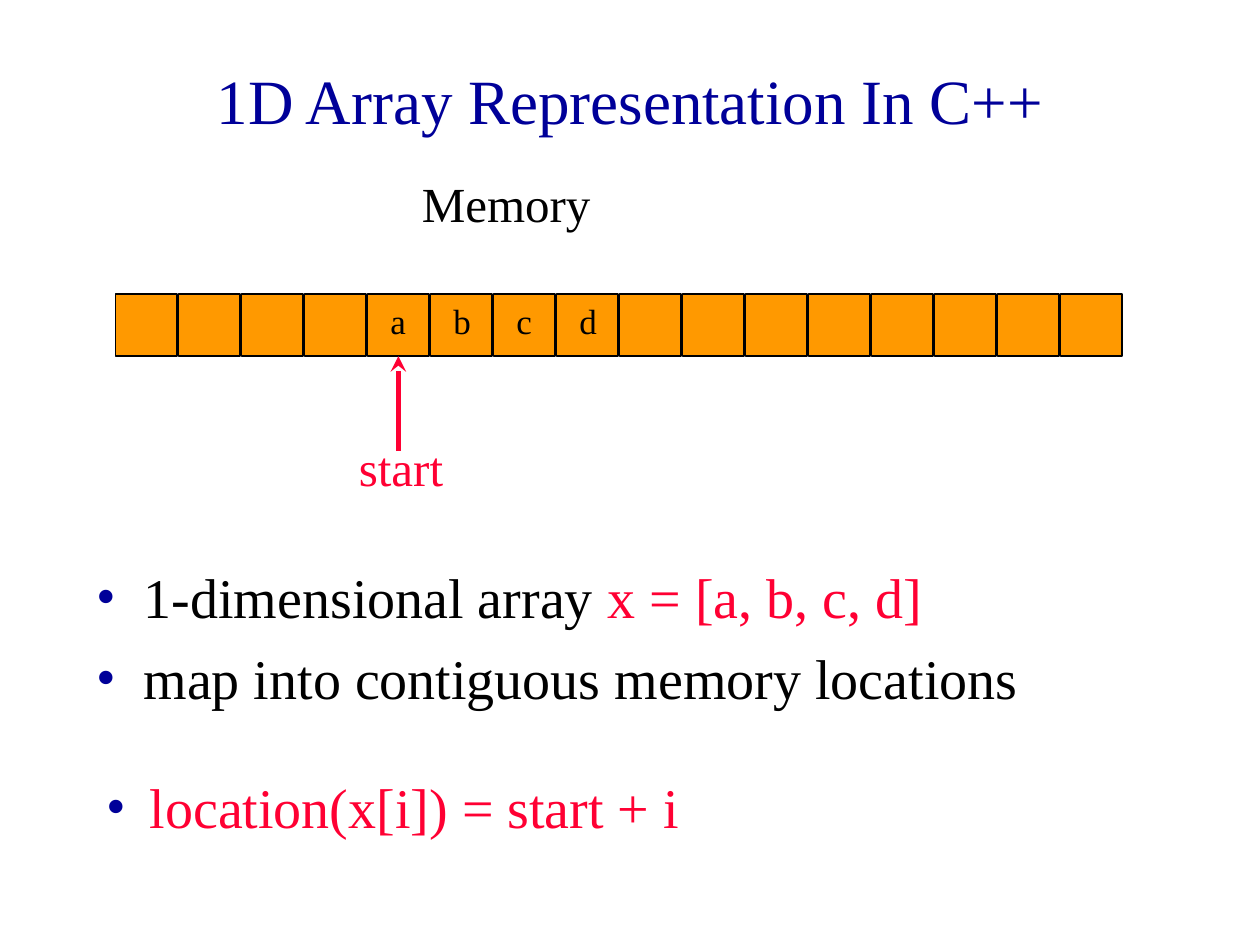
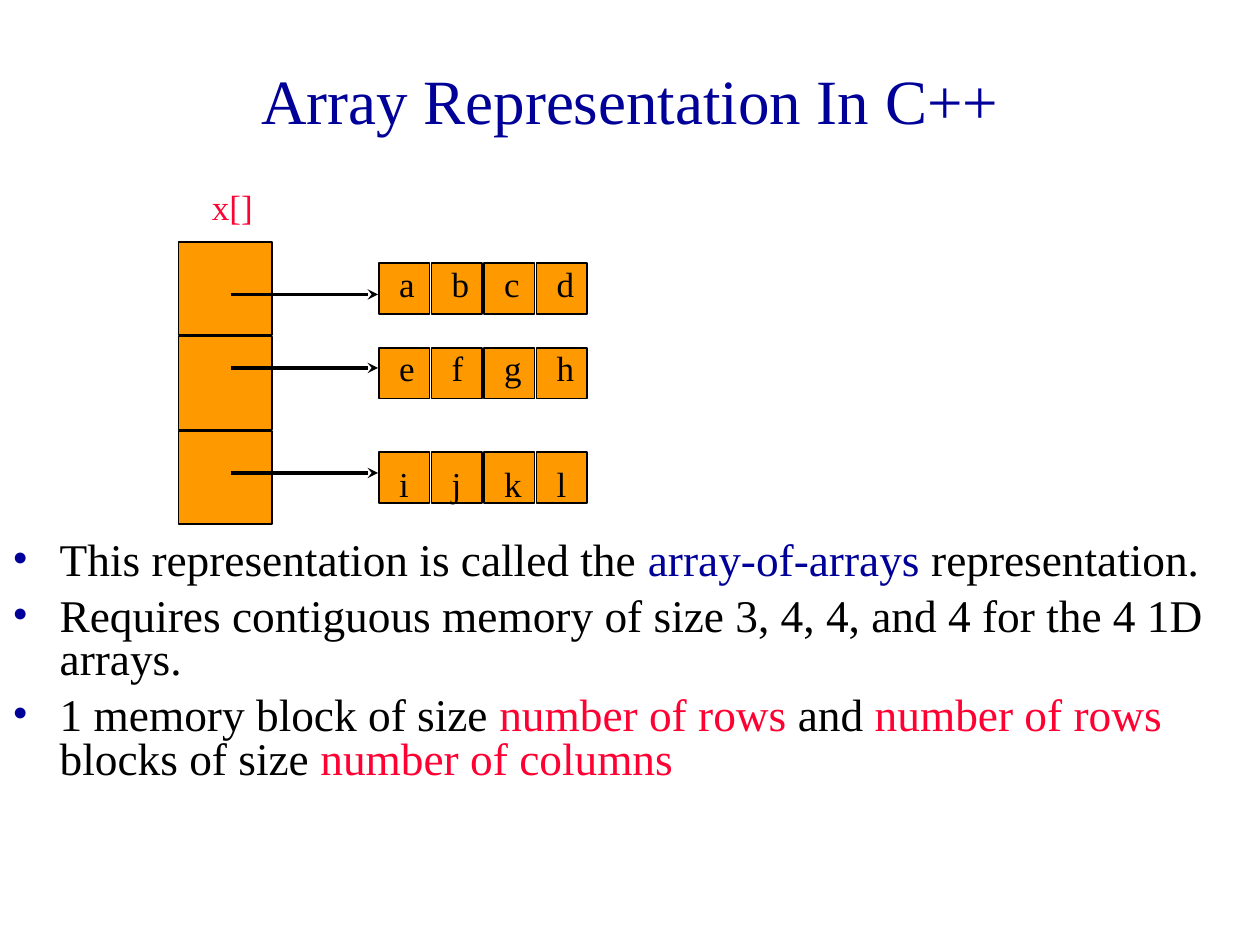
from lxml import etree
from pptx import Presentation
from pptx.dml.color import RGBColor
from pptx.enum import shapes, text
from pptx.oxml import ns
from pptx.util import Pt

FONT = "Times New Roman"
NAVY, RED, BLACK, AMBER = "000099", "FF0033", "000000", "FF9900"


def color(code):
    return RGBColor.from_string(code)


def tag(parent, name, **attrs):
    return etree.SubElement(parent, ns.qn(name), attrs)


def frame(slide, box, wrap=True):
    area = slide.shapes.add_textbox(*map(Pt, box)).text_frame
    area.word_wrap = wrap
    return area


def style(run, size, tint):
    run.font.name = FONT
    run.font.size = Pt(size)
    run.font.color.rgb = color(tint)


def label(slide, box, words, size, tint=BLACK, wrap=True):
    area = frame(slide, box, wrap)
    area.text = words
    style(area.paragraphs[0].runs[0], size, tint)
    return area


def title(slide, words):
    area = label(slide, (18, 12, 684, 90), words, 36, NAVY)
    area.vertical_anchor = text.MSO_ANCHOR.MIDDLE
    area.paragraphs[0].alignment = text.PP_ALIGN.CENTER


def bullets(slide, box, items, size, gap=0, lead=None, indent=27):
    area = frame(slide, box)
    for i, item in enumerate(items):
        para = area.add_paragraph() if i else area.paragraphs[0]
        props = para._p.get_or_add_pPr()
        props.set("marL", str(Pt(indent)))
        props.set("indent", str(-Pt(indent)))
        tag(tag(props, "a:buClr"), "a:srgbClr", val=NAVY)
        tag(props, "a:buFont", typeface=FONT)
        tag(props, "a:buChar", char="•")
        if lead:
            para.line_spacing = lead
        if i:
            para.space_before = Pt(gap)
        for words, tint in item:
            run = para.add_run()
            run.text = words
            style(run, size, tint)


def cell(slide, left, top, side):
    box = slide.shapes.add_shape(
        shapes.MSO_SHAPE.RECTANGLE, *map(Pt, (left, top, side, side)))
    box.shadow.inherit = False
    box.fill.solid()
    box.fill.fore_color.rgb = color(AMBER)
    box.line.color.rgb = color(BLACK)
    box.line.width = Pt(1)
    return box


def strip(slide, left, top, side, step, count):
    return [cell(slide, left + i * step, top, side) for i in range(count)]


def letters(slide, left, top, step, words):
    for i, char in enumerate(words):
        label(slide, (left + i * step, top, 24, 31), char, 20, wrap=False)


def arrow(slide, start, end, tint, width):
    line = slide.shapes.add_connector(
        shapes.MSO_CONNECTOR.STRAIGHT, *map(Pt, start + end))
    line.line.color.rgb = color(tint)
    line.line.width = Pt(width)
    tag(line.line._get_or_add_ln(), "a:tailEnd", type="stealth")
    tag(line._element.spPr, "a:effectLst")
    return line


def memory(slide, left, top):
    side, step, first = 35.25, 36, 4
    cells = strip(slide, left, top, side, step, 16)
    label(slide, (left + 168, top - 72.5, 174, 41), "Memory", 28)
    x = left + first * step
    letters(slide, x + 6, top - 0.5, step, "abcd")
    mid = x + side / 2
    line = arrow(slide, (mid, top + 89.5), (mid, top + side), RED, 3)
    line.end_connect(cells[first], 2)
    label(slide, (x - 12, top + 78, 84, 41), "start", 28, RED)


def table(slide, left, top):
    for i in range(3):
        cell(slide, left, top + 54 * i, 53.25)
    row = left + 114.5
    for drop, tip, dip, words in (
            (12.25, 30, 8, "abcd"),
            (60.5, 72, 56, "efgh"),
            (120.25, 132, 122.5, "ijkl")):
        strip(slide, row, top + drop, 29, 30, 4)
        arrow(slide, (left + 30, top + tip), (row - 0.5, top + tip), BLACK, 2)
        letters(slide, row + 4.5, top + dip, 30, words)
    label(slide, (left + 12, top - 36, 60, 31), "x[]", 20, RED)


def linear(slide):
    title(slide, "1D Array Representation In C++")
    bullets(slide, (48, 318, 612, 96), [
        [("1-dimensional array ", BLACK), ("x = [a, b, c, d]", RED)],
        [("map into contiguous memory locations", BLACK)],
    ], 32, gap=8)
    memory(slide, 66, 168.25)
    bullets(slide, (54, 438, 576, 46),
            [[("location(x[i]) = start + i", RED)]], 32, indent=24.5)


def nested(slide):
    title(slide, "Array Representation In C++")
    bullets(slide, (0, 306, 696, 156), [
        [("This representation is called the ", BLACK),
         ("array-of-arrays", NAVY), (" representation.", BLACK)],
        [("Requires contiguous memory of size 3, 4, 4, and 4 "
          "for the 4 1D arrays.", BLACK)],
        [("1 memory block of size ", BLACK), ("number of rows ", RED),
         ("and ", BLACK), ("number of rows ", RED),
         ("blocks of size ", BLACK), ("number of columns", RED)],
    ], 25.9, gap=7, lead=0.8)
    table(slide, 102, 138.25)


def main():
    deck = Presentation()
    deck.slide_width, deck.slide_height = Pt(720), Pt(540)
    for build in (linear, nested):
        build(deck.slides.add_slide(deck.slide_layouts[6]))
    deck.save("out.pptx")


if __name__ == "__main__":
    main()
